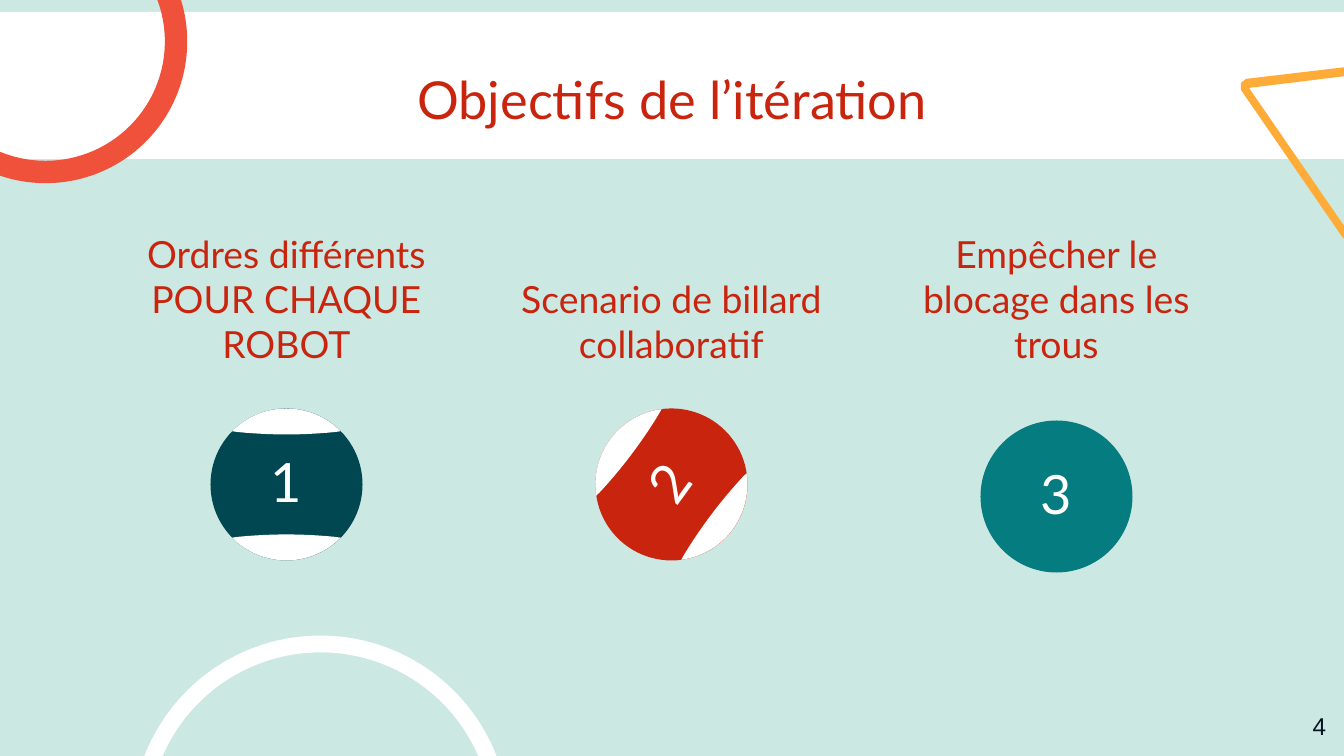
import math
import pptx
import pptx.util
import pptx.dml.color
import pptx.enum.shapes
import pptx.enum.text

RGB = pptx.dml.color.RGBColor
SHAPE = pptx.enum.shapes.MSO_SHAPE
ALIGN = pptx.enum.text.PP_ALIGN
ANCHOR = pptx.enum.text.MSO_ANCHOR

MINT = RGB(0xCC, 0xE8, 0xE3)
WHITE = RGB(0xFF, 0xFF, 0xFF)
RED = RGB(0xC9, 0x24, 0x0D)
CORAL = RGB(0xF0, 0x51, 0x3B)
AMBER = RGB(0xFF, 0xAB, 0x37)
NAVY = RGB(0x00, 0x47, 0x52)
TEAL = RGB(0x05, 0x7D, 0x80)
INK = RGB(0x07, 0x12, 0x24)

SCALE = 914400 / 134.4
WIDTH, HEIGHT = 1344, 756
PAD = 13
COLUMN, PITCH = 343, 385
RADIUS = 76

GOALS = [
    ("Ordres différents POUR CHAQUE ROBOT", NAVY, 0, 0, 0, True),
    ("Scenario de billard collaboratif", RED, 0, 127, 306, True),
    ("Empêcher le blocage dans les trous", TEAL, 12, 0, 0, False),
]
RIM = [(0, 32), (102, 180), (107, 183), (114, 179), (189, 9),
       (189, 4), (182, 0), (5, 21), (0, 25)]
HOLE = [(8, 30), (106, 172), (179, 9)]


def px(num):
    return pptx.util.Emu(round(num * SCALE))


def write(shape, text, size, color, align=ALIGN.CENTER, anchor=ANCHOR.BOTTOM, font="Lato"):
    frame = shape.text_frame
    frame.word_wrap = True
    frame.auto_size = pptx.enum.text.MSO_AUTO_SIZE.NONE
    frame.vertical_anchor = anchor
    frame.margin_left = frame.margin_right = px(PAD)
    frame.margin_top = frame.margin_bottom = px(PAD)
    frame.text = text
    line = frame.paragraphs[0]
    line.alignment = align
    line.font.name = font
    line.font.size = pptx.util.Pt(size)
    line.font.color.rgb = color


def label(slide, box, text, size, color, **style):
    shape = slide.shapes.add_textbox(*map(px, box))
    write(shape, text, size, color, **style)
    return shape


def paint(shape, color):
    shape.shadow.inherit = False
    shape.fill.solid()
    shape.fill.fore_color.rgb = color
    shape.line.fill.background()


def solid(slide, kind, box, color):
    paint(slide.shapes.add_shape(kind, *map(px, box)), color)


def ring(slide, box, color, width):
    shape = slide.shapes.add_shape(SHAPE.OVAL, *map(px, box))
    shape.shadow.inherit = False
    shape.fill.background()
    shape.line.color.rgb = color
    shape.line.width = pptx.util.Pt(width)


def outline(slide, left, top, loops, color):
    pen = None
    for loop in loops:
        dots = [(px(left + x), px(top + y)) for x, y in loop]
        if pen is None:
            pen = slide.shapes.build_freeform(*dots[0])
        else:
            pen.move_to(*dots[0])
        pen.add_line_segments(dots[1:], close=True)
    paint(pen.convert_to_shape(), color)


def cap(slide, mid, level, turn):
    edge, bulge, steps = 54, 3, 24
    start = math.atan2(-53, -edge)
    sweep = -math.pi - 2 * start
    arc = [start + sweep * i / steps for i in range(steps + 1)]
    dots = [(RADIUS * math.cos(a), RADIUS * math.sin(a)) for a in arc]
    for i in range(1, steps):
        part = 1 - 2 * i / steps
        dots.append((edge * part, -53 + bulge * (1 - part ** 2)))
    cos, sin = math.cos(math.radians(turn)), math.sin(math.radians(turn))
    loop = [(x * cos - y * sin, x * sin + y * cos) for x, y in dots]
    outline(slide, mid, level, [loop], WHITE)


def ball(slide, mid, level, text, color, tilt, spin, striped):
    size = 2 * RADIUS
    solid(slide, SHAPE.OVAL, (mid - RADIUS, level - RADIUS, size, size), color)
    if striped:
        for turn in (tilt, tilt + 180):
            cap(slide, mid, level, turn)
    mark = label(slide, (mid - 68, level - 42, 136, 84), text, 29, WHITE)
    mark.rotation = spin


def goals(slide, left, top):
    for i, (text, color, drop, tilt, spin, striped) in enumerate(GOALS):
        side = left + i * PITCH
        label(slide, (side, top, COLUMN, 78), text, 20, RED)
        ball(slide, side + COLUMN / 2, top + 183.5 + drop,
             str(i + 1), color, tilt, spin, striped)


def header(slide, left, top, width, height):
    solid(slide, SHAPE.RECTANGLE, (left, top, width, height), WHITE)
    title = slide.shapes.title
    title.left, title.top = px(left + 112), px(top + 44)
    title.width, title.height = px(width - 224), px(85)
    write(title, "Objectifs de l’itération", 28, RED, anchor=ANCHOR.MIDDLE)
    tree = title.element.getparent()
    tree.remove(title.element)
    tree.append(title.element)


def decor(slide):
    ring(slide, (-85, -89, 261, 261), CORAL, 12)
    ring(slide, (140, 644, 361, 361), WHITE, 9)
    outline(slide, 1241, 58, [RIM, HOLE], AMBER)


def main():
    deck = pptx.Presentation()
    deck.slide_width, deck.slide_height = px(WIDTH), px(HEIGHT)
    slide = deck.slides.add_slide(deck.slide_layouts[5])
    slide.background.fill.solid()
    slide.background.fill.fore_color.rgb = MINT
    header(slide, 0, 12, WIDTH, 147)
    decor(slide)
    goals(slide, 115, 301)
    label(slide, (1258, 698, 81, 58), "4", 13, INK,
          align=ALIGN.RIGHT, anchor=ANCHOR.TOP, font="Arial")
    deck.save("out.pptx")


if __name__ == "__main__":
    main()
